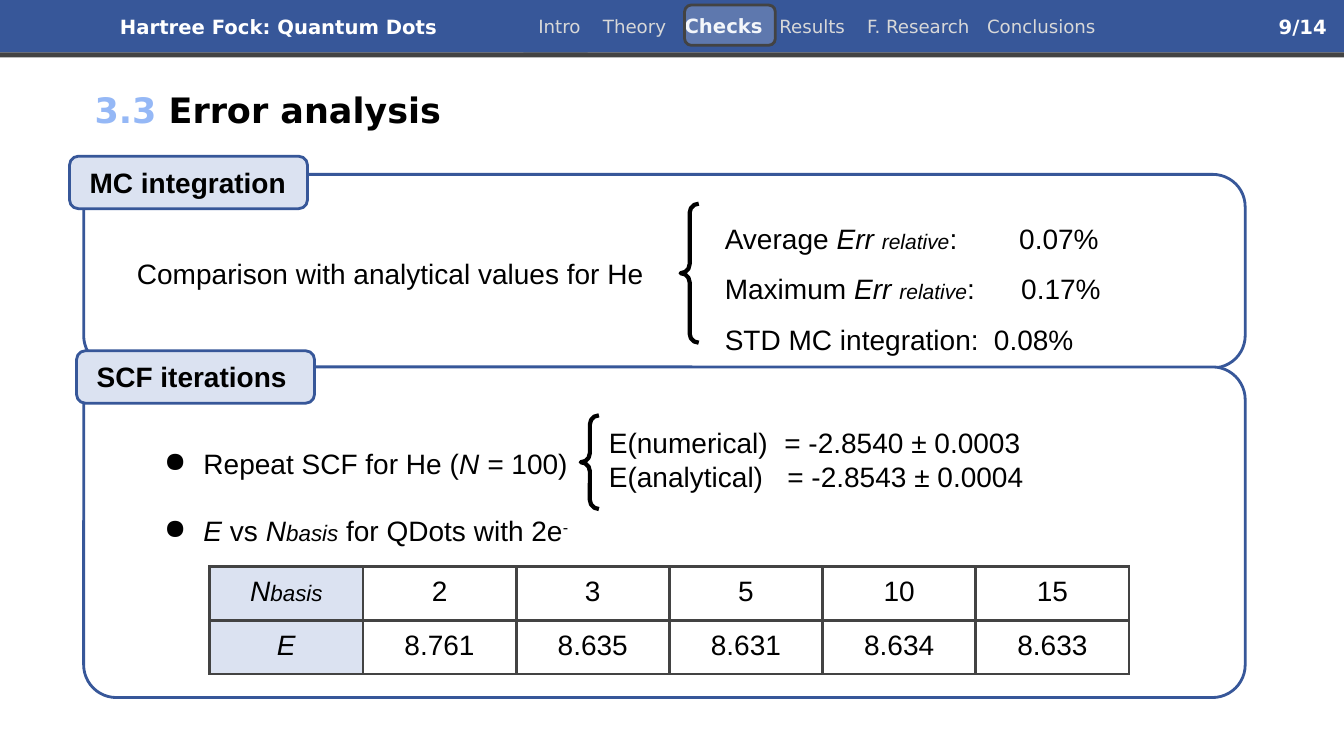
"""Build the error analysis slide of a quantum dots talk."""
from typing import NamedTuple

from lxml import etree
from pptx import Presentation
from pptx.dml.color import RGBColor
from pptx.enum.shapes import MSO_SHAPE
from pptx.enum.text import MSO_ANCHOR, PP_ALIGN
from pptx.oxml.ns import qn
from pptx.util import Inches, Pt

RECT = MSO_SHAPE.RECTANGLE
ROUND = MSO_SHAPE.ROUNDED_RECTANGLE
BRACE = MSO_SHAPE.RIGHT_BRACE
MIDDLE = MSO_ANCHOR.MIDDLE
TOP = MSO_ANCHOR.TOP
LEFT = PP_ALIGN.LEFT
RIGHT = PP_ALIGN.RIGHT
CENTER = PP_ALIGN.CENTER

NAVY = RGBColor(0x37, 0x57, 0x99)
SKY = RGBColor(0x95, 0xB8, 0xF6)
PALE = RGBColor(0xDB, 0xE2, 0xF1)
MIST = RGBColor(0xD3, 0xDC, 0xEF)
SILVER = RGBColor(0xD8, 0xD8, 0xD8)
GRAY = RGBColor(0x43, 0x43, 0x43)
BLACK = RGBColor(0, 0, 0)
WHITE = RGBColor(255, 255, 255)
SANS = "DejaVu Sans"


class Span(NamedTuple):
    text: str
    size: float = 20
    italic: bool = False
    bold: bool = False
    color: RGBColor = BLACK
    font: str = "Arial"
    base: int = 0


class Line(NamedTuple):
    spans: list[Span]
    align: int = LEFT
    tabs: tuple[float, ...] = ()
    space: float = 1
    before: float = 0
    bullet: str = ""


class Box(NamedTuple):
    x: float
    y: float
    w: float
    h: float


class Form(NamedTuple):
    box: Box
    kind: int = ROUND
    fill: RGBColor | None = None
    line: RGBColor | None = None
    width: float = 2
    adjust: tuple[float, ...] = (0.167,)
    turn: float = 0


class Note(NamedTuple):
    box: Box
    lines: list[Line]
    pad: float = 0.1


def write(para, line: Line) -> None:
    para.alignment = line.align
    para.line_spacing = line.space
    para.space_before = Pt(line.before)
    props = para._p.get_or_add_pPr()
    if line.bullet:
        props.set("marL", str(Inches(0.5)))
        props.set("indent", str(Inches(-0.39)))
        etree.SubElement(props, qn("a:buChar"), char=line.bullet)
    if line.tabs:
        stops = etree.SubElement(props, qn("a:tabLst"))
        for stop in line.tabs:
            etree.SubElement(stops, qn("a:tab"), pos=str(Inches(stop)), algn="l")
    for span in line.spans:
        run = para.add_run()
        run.text = span.text
        font = run.font
        font.name, font.size = span.font, Pt(span.size)
        font.bold, font.italic = span.bold, span.italic
        font.color.rgb = span.color
        if span.base:
            run._r.get_or_add_rPr().set("baseline", str(span.base * 1000))


def fill_text(frame, lines: list[Line], left: float = 0.1, right: float = 0.1,
              pad: float = 0.05, anchor: int = TOP) -> None:
    frame.word_wrap = True
    frame.vertical_anchor = anchor
    frame.margin_left, frame.margin_right = Inches(left), Inches(right)
    frame.margin_top = frame.margin_bottom = Inches(pad)
    for i, line in enumerate(lines):
        write(frame.add_paragraph() if i else frame.paragraphs[0], line)


def draw(shapes, form: Form):
    shape = shapes.add_shape(form.kind, *map(Inches, form.box))
    shape.shadow.inherit = False
    shape.rotation = form.turn
    if form.kind != RECT:
        for i, value in enumerate(form.adjust):
            shape.adjustments[i] = value
    if form.fill is None:
        shape.fill.background()
    else:
        shape.fill.solid()
        shape.fill.fore_color.rgb = form.fill
    if form.line is None:
        shape.line.fill.background()
    else:
        shape.line.color.rgb = form.line
        shape.line.width = Pt(form.width)
    return shape


def note(shapes, item: Note) -> None:
    box = shapes.add_textbox(*map(Inches, item.box))
    fill_text(box.text_frame, item.lines, pad=item.pad)


def panel(shapes, box: Box, adjust: float, tag: Box, title: str) -> None:
    draw(shapes, Form(box, fill=WHITE, line=NAVY, adjust=(adjust,)))
    draw(shapes, Form(tag, fill=PALE, line=NAVY))
    inner = Box(tag.x + 0.1, tag.y + 0.04, 2.17, 0.44)
    note(shapes, Note(inner, [Line([Span(title, bold=True)])], 0.05))


def brace(shapes, box: Box) -> None:
    draw(shapes, Form(box, BRACE, line=BLACK, width=3, adjust=(0.5, 0.5), turn=180))


def border(cell) -> None:
    props = cell._tc.get_or_add_tcPr()
    for i, side in enumerate(("lnL", "lnR", "lnT", "lnB")):
        edge = etree.Element(qn(f"a:{side}"), w=str(Pt(2.25)))
        paint = etree.SubElement(edge, qn("a:solidFill"))
        etree.SubElement(paint, qn("a:srgbClr"), val=str(GRAY))
        props.insert(i, edge)


def grid(shapes, box: Box, rows: list[list[list[Span]]]) -> None:
    table = shapes.add_table(len(rows), len(rows[0]), *map(Inches, box)).table
    table.first_row = table.horz_banding = False
    for r, row in enumerate(rows):
        for c, spans in enumerate(row):
            cell = table.cell(r, c)
            cell.margin_top = cell.margin_bottom = Inches(0.1)
            cell.fill.solid()
            cell.fill.fore_color.rgb = WHITE if c else PALE
            border(cell)
            write(cell.text_frame.paragraphs[0], Line(spans, CENTER))


def header(shapes) -> None:
    strong = Span("", 14, bold=True, color=WHITE, font=SANS)
    plain = Span("", 13, color=SILVER, font=SANS)
    name = Line([strong._replace(text="Hartree Fock: Quantum Dots")])
    page = Line([strong._replace(text="9/14")], RIGHT)
    menu = Line([plain._replace(text="Intro\tTheory\t"), strong._replace(text="Checks"),
                 plain._replace(text="\tResults\tF. Research\tConclusions")],
                tabs=(0.64, 1.45, 2.39, 3.26, 4.45))
    for box, line, left, right in (
        (Box(0, 0, 5.83, 0.52), name, 1.19, 0.1),
        (Box(5.19, 0, 8.14, 0.52), page, 0.1, 0.17),
        (Box(5.11, 0, 7.25, 0.51), menu, 0.23, 0.1),
    ):
        bar = draw(shapes, Form(box, RECT, NAVY))
        fill_text(bar.text_frame, [line], left, right, anchor=MIDDLE)
    draw(shapes, Form(Box(0, 0.52, 13.33, 0.05), RECT, GRAY))
    mark = draw(shapes, Form(Box(6.79, 0.05, 0.9, 0.4), fill=MIST, line=GRAY))
    tint = mark.fill._xPr.find(qn("a:solidFill"))[0]
    etree.SubElement(tint, qn("a:alpha"), val="25000")


def error(label: str, value: str, stop: float) -> Line:
    return Line([Span(label), Span("Err ", italic=True), Span("relative", 15, True),
                 Span(f":\t{value}")], tabs=(stop,), space=1.5)


def main() -> None:
    deck = Presentation()
    deck.slide_width, deck.slide_height = Inches(13.33), Inches(7.5)
    shapes = deck.slides.add_slide(deck.slide_layouts[6]).shapes
    basis = [Span("N", italic=True), Span("basis", 16, True)]
    energy = Span("E", italic=True)

    header(shapes)
    title = Span("3.3 ", 25, bold=True, color=SKY, font=SANS)
    note(shapes, Note(Box(0.84, 0.83, 4.02, 0.52), [
        Line([title, title._replace(text="Error analysis", color=BLACK)])], 0.05))

    panel(shapes, Box(0.83, 1.73, 11.52, 1.92), 0.167, Box(0.69, 1.55, 2.36, 0.52), "MC integration")
    panel(shapes, Box(0.83, 3.64, 11.52, 3.28), 0.099, Box(0.76, 3.48, 2.36, 0.52), "SCF iterations")
    brace(shapes, Box(6.75, 2.02, 0.18, 1.38))
    brace(shapes, Box(5.76, 4.12, 0.18, 0.93))

    for item in (
        Note(Box(1.26, 2.44, 5.67, 0.54), [Line([Span("Comparison with analytical values for He")])]),
        Note(Box(7.09, 1.93, 4.67, 1.55), [
            error("Average ", "0.07%", 2.92), error("Maximum ", "0.17%", 2.94),
            Line([Span("STD MC integration:\t0.08%")], tabs=(2.67,), space=1.5)]),
        Note(Box(1.42, 4.33, 5.67, 1.21), [
            Line([Span("Repeat SCF for He ("), Span("N = ", italic=True), Span("100)")], bullet="●"),
            Line([energy, Span(" vs "), *basis, Span(" for QDots with 2e"), Span("-", base=30)],
                 before=24, bullet="●")]),
        Note(Box(5.94, 4.12, 5.42, 0.88), [
            Line([Span("E(numerical)\t= -2.8540 ± 0.0003")], tabs=(1.74,)),
            Line([Span("E(analytical)\t= -2.8543 ± 0.0004")], tabs=(1.77,))]),
    ):
        note(shapes, item)

    sizes = [[Span(n)] for n in ("2", "3", "5", "10", "15")]
    values = [[Span(v)] for v in ("8.761", "8.635", "8.631", "8.634", "8.633")]
    grid(shapes, Box(2.08, 5.62, 9.12, 1.06), [[basis, *sizes], [[energy], *values]])
    deck.save("out.pptx")


if __name__ == "__main__":
    main()
